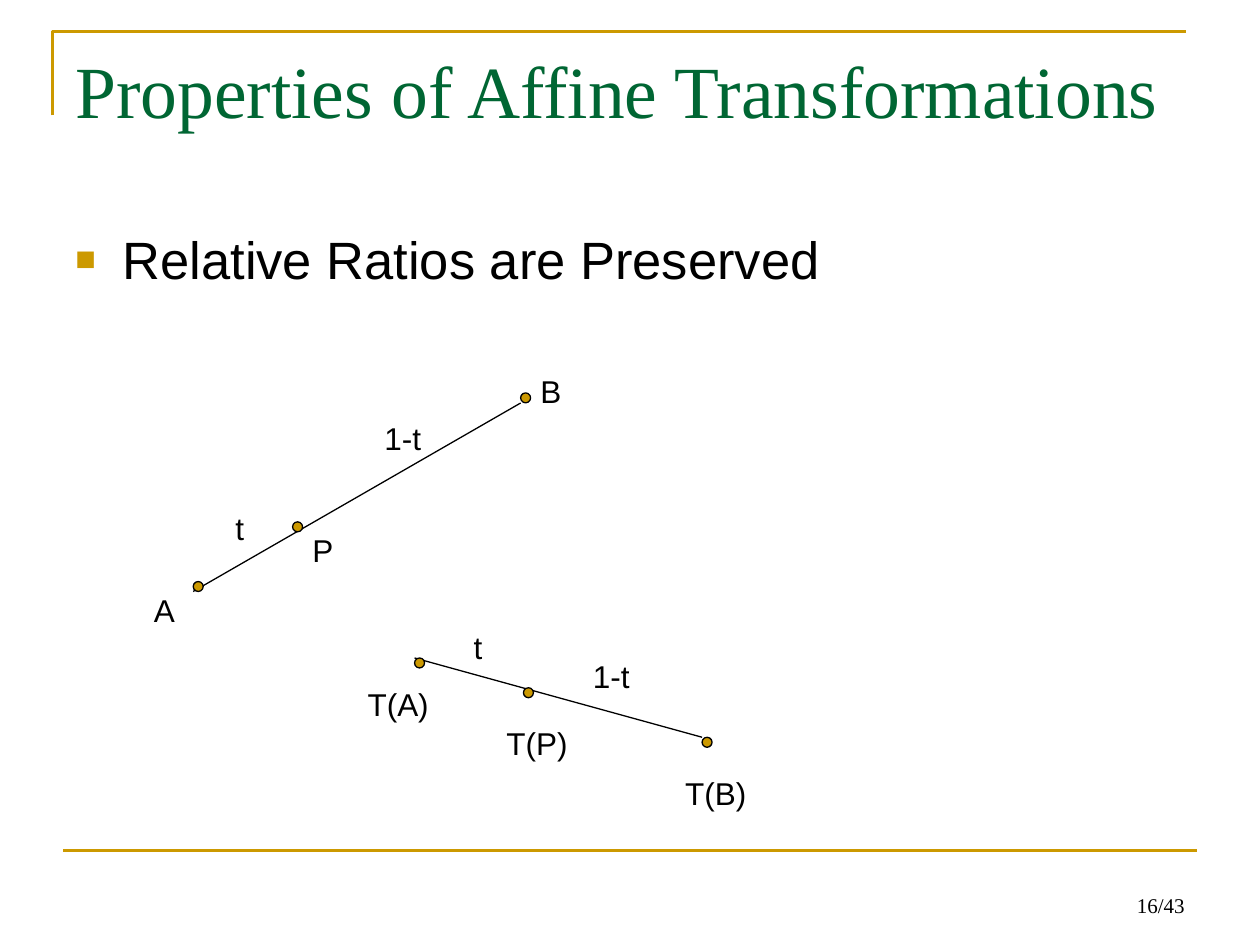
from lxml import etree
from pptx import Presentation
from pptx import util as u
from pptx.dml.color import RGBColor
from pptx.enum import shapes, text
from pptx.oxml import ns

GOLD = RGBColor(0xCC, 0x99, 0x00)
GREEN = RGBColor(0x00, 0x66, 0x33)
BLACK = RGBColor(0x00, 0x00, 0x00)
SERIF, SANS = "Times New Roman", "Arial"
DOT_SIZE = 5.7
LABEL_HEIGHT = 28.8

DOTS = [(110.4, 332.3), (297.5, 224.5), (167.2, 298.2),
        (236.9, 376), (401.2, 421.3), (299.1, 393)]
LABEL_WIDTHS = {1: 26, 3: 35.3, 4: 49.5}
LABELS = [
    ("A", 80.8, 334.1), ("B", 301.7, 208.8), ("P", 171.4, 299.8),
    ("t", 127.4, 287.3), ("1-t", 212.6, 235.8),
    ("T(A)", 203, 387.7), ("T(B)", 384.5, 438.5), ("T(P)", 282.3, 410.4),
    ("t", 263.6, 355.3), ("1-t", 331.7, 372.2),
]


class SlideBuilder:
    def __init__(self, slide):
        self.slide = slide

    def text(self, words, left, top, width, height, size, font=SANS,
             color=BLACK, wrap=True, anchor=text.MSO_ANCHOR.TOP,
             align=text.PP_ALIGN.LEFT, bullet=False):
        box = self.slide.shapes.add_textbox(
            u.Pt(left), u.Pt(top), u.Pt(width), u.Pt(height))
        frame = box.text_frame
        frame.word_wrap = wrap
        if not wrap:
            frame.auto_size = text.MSO_AUTO_SIZE.SHAPE_TO_FIT_TEXT
        frame.vertical_anchor = anchor
        paragraph = frame.paragraphs[0]
        paragraph.alignment = align
        if bullet:
            self.square_bullet(paragraph)
        run = paragraph.add_run()
        run.text = words
        run.font.name = font
        run.font.size = u.Pt(size)
        run.font.color.rgb = color

    def square_bullet(self, paragraph):
        """Add a hanging gold square at 65% of the text size."""
        properties = paragraph._p.get_or_add_pPr()
        indent = u.Pt(27)
        properties.set("marL", str(indent))
        properties.set("indent", str(-indent))
        color = etree.SubElement(properties, ns.qn("a:buClr"))
        etree.SubElement(color, ns.qn("a:srgbClr"), val=str(GOLD))
        etree.SubElement(properties, ns.qn("a:buSzPct"), val="65000")
        etree.SubElement(properties, ns.qn("a:buFont"), typeface=SANS)
        etree.SubElement(properties, ns.qn("a:buChar"), char="■")

    def line(self, start, end, color=BLACK, width=0.75):
        points = [u.Pt(value) for value in (*start, *end)]
        connector = self.slide.shapes.add_connector(
            shapes.MSO_CONNECTOR.STRAIGHT, *points)
        connector.line.color.rgb = color
        connector.line.width = u.Pt(width)
        etree.SubElement(connector._element.spPr, ns.qn("a:effectLst"))

    def corner(self, points):
        """Draw an open gold outline through the points."""
        first, *rest = [(u.Pt(x), u.Pt(y)) for x, y in points]
        builder = self.slide.shapes.build_freeform(*first)
        builder.add_line_segments(rest, close=False)
        shape = builder.convert_to_shape()
        shape.shadow.inherit = False
        shape.fill.background()
        shape.line.color.rgb = GOLD
        shape.line.width = u.Pt(1.5)

    def dot(self, left, top):
        shape = self.slide.shapes.add_shape(
            shapes.MSO_SHAPE.OVAL, u.Pt(left), u.Pt(top),
            u.Pt(DOT_SIZE), u.Pt(DOT_SIZE))
        shape.shadow.inherit = False
        shape.fill.solid()
        shape.fill.fore_color.rgb = GOLD
        shape.line.color.rgb = BLACK
        shape.line.width = u.Pt(0.75)

    def label(self, words, left, top):
        width = 19.4 if words == "t" else LABEL_WIDTHS[len(words)]
        self.text(words, left, top, width, LABEL_HEIGHT, 18, wrap=False)


def main():
    presentation = Presentation()
    presentation.slide_width = u.Pt(720)
    presentation.slide_height = u.Pt(540)
    slide = presentation.slides.add_slide(presentation.slide_layouts[6])
    builder = SlideBuilder(slide)

    builder.corner([(30, 66), (30, 18), (678, 18)])
    builder.line((36, 486), (684, 486), GOLD, 1.5)
    builder.text("16/43", 516, 491.7, 168, 36, 12, SERIF,
                 anchor=text.MSO_ANCHOR.BOTTOM, align=text.PP_ALIGN.RIGHT)
    builder.text("Properties of Affine Transformations",
                 36, 22, 648, 90, 42, SERIF, GREEN)
    builder.text("Relative Ratios are Preserved",
                 36, 126, 648, 356.4, 30, bullet=True)

    builder.line((110.4, 338), (297.5, 230.3))
    builder.line((236.9, 376), (401.2, 421.3))
    for position in DOTS:
        builder.dot(*position)
    for label in LABELS:
        builder.label(*label)

    presentation.save("out.pptx")


if __name__ == "__main__":
    main()
